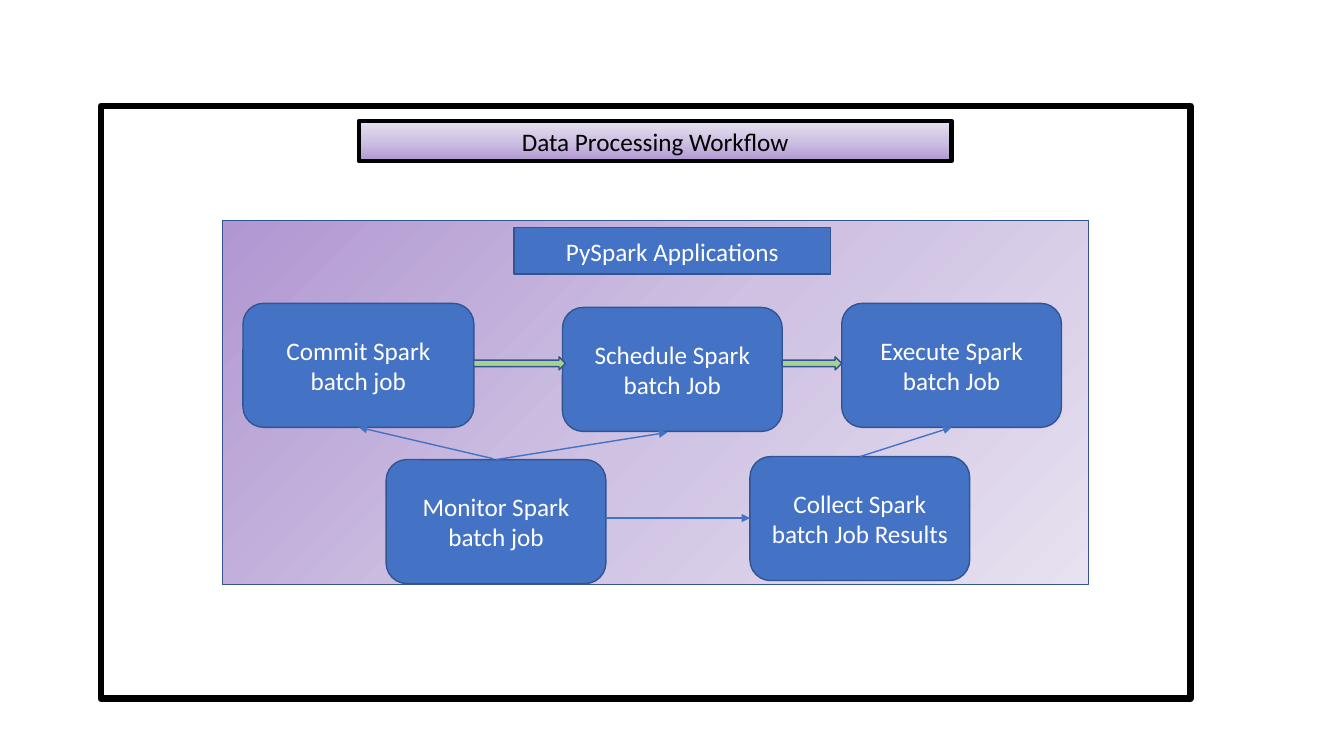
from copy import deepcopy
from dataclasses import dataclass

from lxml.etree import SubElement
from pptx import Presentation
from pptx.dml.color import RGBColor
from pptx.enum.shapes import MSO_CONNECTOR, MSO_SHAPE as Preset
from pptx.enum.text import MSO_ANCHOR, PP_ALIGN
from pptx.oxml.ns import qn
from pptx.shapes.autoshape import Shape
from pptx.slide import Slide
from pptx.util import Inches, Pt

WIDTH, HEIGHT = Inches(13.333), Inches(7.5)
BLUE, NAVY, GREEN = "4472C4", "325491", "A9D18E"
BLACK, WHITE = "000000", "FFFFFF"
LILAC = ((0, "B197D2"), (0.5, "CEC1E2"), (1, "E7E1F0"))
STEP_WIDTH, STEP_HEIGHT = 16.35, 16.4
ARROW_TOP, ARROW_HEIGHT = 47.2, 1.73


@dataclass(frozen=True)
class Box:
    """A shape; its place and size are percentages of the slide."""
    left: float
    top: float
    width: float
    height: float
    lines: tuple[str, ...] = ()
    preset: Preset = Preset.RECTANGLE
    fill: str | None = BLUE
    gradient_angle: float | None = None
    outline: str = NAVY
    weight: float = 1
    ink: str = WHITE


@dataclass(frozen=True)
class Link:
    """A thin arrow between two points in percentages of the slide."""
    start: tuple[float, float]
    end: tuple[float, float]


def step(left: float, top: float, *lines: str, width: float = STEP_WIDTH) -> Box:
    return Box(left, top, width, STEP_HEIGHT, lines, Preset.ROUNDED_RECTANGLE)


def block_arrow(left: float, width: float) -> Box:
    return Box(left, ARROW_TOP, width, ARROW_HEIGHT, preset=Preset.RIGHT_ARROW, fill=GREEN)


FRAME = Box(7.5, 14, 81.08, 78.4, fill=None, outline=BLACK, weight=4.5)
PANEL = Box(16.58, 29.2, 64.43, 48.13, gradient_angle=315)
HEADER = Box(38.25, 30.13, 23.55, 6.13, ("PySpark Applications",))
STEPS = (
    step(18.08, 40.13, "Commit Spark batch job", width=17.18),
    step(28.73, 60.8, "Monitor Spark", "batch job"),
    step(41.85, 40.67, "Schedule Spark batch Job"),
    step(62.63, 40.13, "Execute Spark batch Job"),
    step(55.8, 60.4, "Collect Spark batch Job Results"),
)
BLOCK_ARROWS = (block_arrow(35.25, 6.83), block_arrow(58.2, 4.43))
LINKS = (
    Link((36.68, 60.67), (26.7, 56.53)),
    Link((36.9, 60.8), (49.65, 57.2)),
    Link((63.98, 60.4), (70.8, 56.53)),
    Link((45.08, 68.53), (55.8, 68.53)),
)
TITLE = Box(26.7, 16, 44.1, 5.33, ("Data Processing Workflow",), gradient_angle=90,
            outline=BLACK, weight=3, ink=BLACK)


def color(value: str) -> RGBColor:
    return RGBColor.from_string(value)


def across(share: float) -> int:
    return round(WIDTH * share / 100)


def down(share: float) -> int:
    return round(HEIGHT * share / 100)


def fill_gradient(shape: Shape, angle: float) -> None:
    shape.fill.gradient()
    shape.fill.gradient_angle = angle
    stop_list = shape._element.spPr.find(".//" + qn("a:gsLst"))
    stop_list.append(deepcopy(stop_list[0]))
    for stop, (position, value) in zip(shape.fill.gradient_stops, LILAC):
        stop.position = position
        stop.color.rgb = color(value)


def write_lines(shape: Shape, lines: tuple[str, ...], ink: str) -> None:
    frame = shape.text_frame
    frame.word_wrap = True
    frame.vertical_anchor = MSO_ANCHOR.MIDDLE
    for index, line in enumerate(lines):
        para = frame.add_paragraph() if index else frame.paragraphs[0]
        para.alignment = PP_ALIGN.CENTER
        span = para.add_run()
        span.text = line
        span.font.name = "Calibri"
        span.font.size = Pt(18)
        span.font.color.rgb = color(ink)


def draw_box(page: Slide, box: Box) -> None:
    shape = page.shapes.add_shape(box.preset, across(box.left), down(box.top),
                                  across(box.width), down(box.height))
    shape.shadow.inherit = False
    if box.gradient_angle is not None:
        fill_gradient(shape, box.gradient_angle)
    elif box.fill:
        shape.fill.solid()
        shape.fill.fore_color.rgb = color(box.fill)
    else:
        shape.fill.background()
    shape.line.color.rgb = color(box.outline)
    shape.line.width = Pt(box.weight)
    write_lines(shape, box.lines, box.ink)


def draw_link(page: Slide, link: Link) -> None:
    (x1, y1), (x2, y2) = link.start, link.end
    connector = page.shapes.add_connector(MSO_CONNECTOR.STRAIGHT, across(x1), down(y1),
                                          across(x2), down(y2))
    connector.line.color.rgb = color(BLUE)
    connector.line.width = Pt(1)
    properties = connector._element.spPr
    SubElement(properties.find(qn("a:ln")), qn("a:tailEnd"), type="triangle")
    SubElement(properties, qn("a:effectLst"))


def main() -> None:
    deck = Presentation()
    deck.slide_width, deck.slide_height = WIDTH, HEIGHT
    page = deck.slides.add_slide(deck.slide_layouts[6])
    for box in (FRAME, PANEL, HEADER, *STEPS, *BLOCK_ARROWS):
        draw_box(page, box)
    for link in LINKS:
        draw_link(page, link)
    draw_box(page, TITLE)
    deck.save("out.pptx")


if __name__ == "__main__":
    main()
